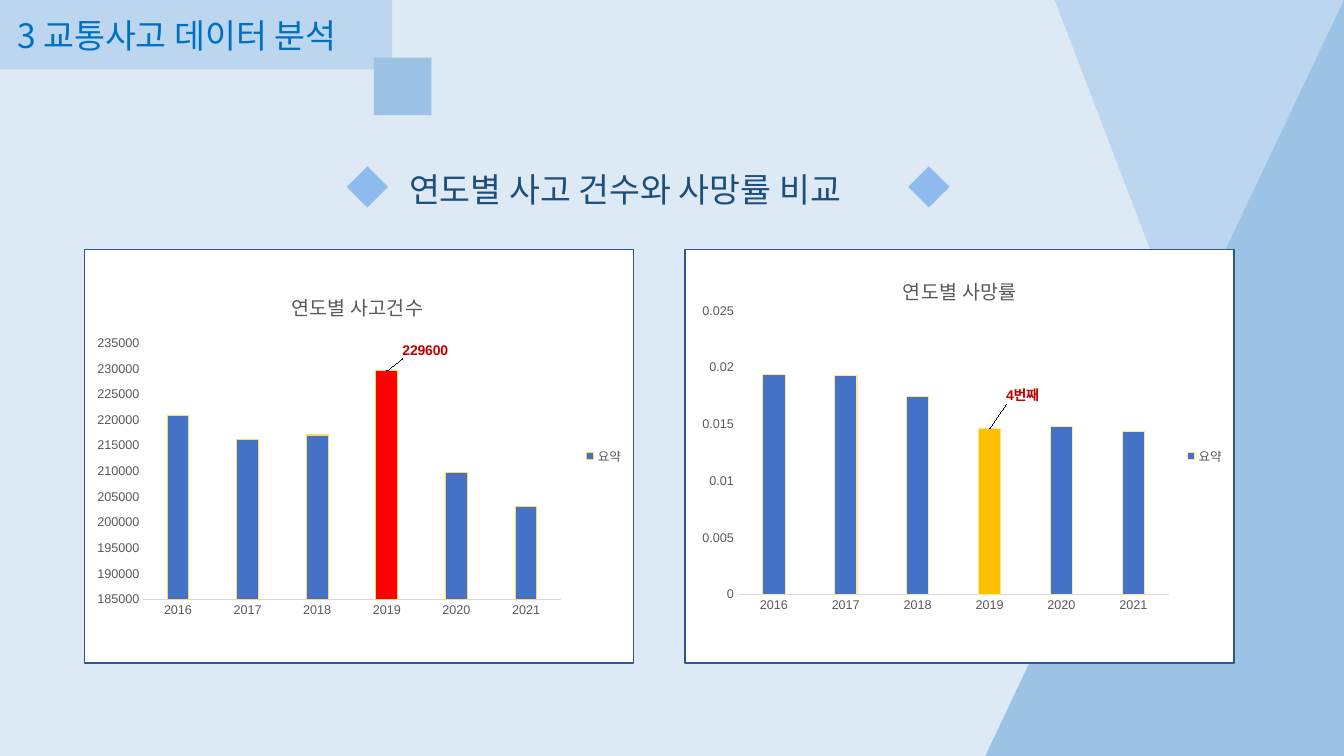
from pptx import Presentation
from pptx.chart.data import CategoryChartData
from pptx.dml.color import RGBColor
from pptx.enum.chart import XL_CHART_TYPE, XL_LABEL_POSITION, XL_LEGEND_POSITION, XL_TICK_MARK
from pptx.enum.shapes import MSO_SHAPE
from pptx.enum.text import MSO_ANCHOR, MSO_AUTO_SIZE, PP_ALIGN
from pptx.oxml import parse_xml
from pptx.util import Cm, Pt

COLUMNS = XL_CHART_TYPE.COLUMN_CLUSTERED
ABOVE_BAR = XL_LABEL_POSITION.OUTSIDE_END
RIGHT = XL_LEGEND_POSITION.RIGHT
NO_TICK = XL_TICK_MARK.NONE
TRIANGLE, DIAMOND, RECTANGLE = MSO_SHAPE.RIGHT_TRIANGLE, MSO_SHAPE.DIAMOND, MSO_SHAPE.RECTANGLE
CHART_NS = "http://schemas.openxmlformats.org/drawingml/2006/chart"
DRAWING_NS = "http://schemas.openxmlformats.org/drawingml/2006/main"

# Content
HEADING = "3 교통사고 데이터 분석"
SUBHEADING = "연도별 사고 건수와 사망률 비교"
YEARS = ["2016", "2017", "2018", "2019", "2020", "2021"]
SERIES_NAME = "요약"
MARKED_YEAR = YEARS.index("2019")
PANELS = [
    {"title": "연도별 사고건수", "title_at": (0.37, 0.09),
     "values": [220900, 216300, 217100, 229600, 209700, 203100],
     "scale": {"minimum_scale": 185000, "maximum_scale": 235000, "major_unit": 5000},
     "plot": (0.107, 0.227, 0.761, 0.62), "outline": "FFD966",
     "marked": "FF0000", "label": None, "label_shift": (0.07, -0.02)},
    {"title": "연도별 사망률", "title_at": (0.39, 0.05),
     "values": [0.0194, 0.0193, 0.0175, 0.0146, 0.0148, 0.0144],
     "scale": {"minimum_scale": 0, "maximum_scale": 0.025, "major_unit": 0.005},
     "plot": (0.096, 0.149, 0.786, 0.686), "outline": "FFE699",
     "marked": "FFC000", "label": "4번째", "label_shift": (0.06, -0.05)},
]

# Layout, in centimetres
SLIDE_W, SLIDE_H = 33.87, 19.05
BACKDROP = [(7.29, "BBD6EE", True), (9.04, "9CC2E5", False)]
DIAMOND_LEFTS, DIAMOND_TOP, DIAMOND_SIZE = (8.74, 22.89), 4.19, 1.04
PANEL_LEFT, PANEL_TOP, PANEL_W, PANEL_H, PANEL_STEP = 2.11, 6.27, 13.87, 10.45, 15.14


def color(hex_code):
    return RGBColor.from_string(hex_code)


def apply(target, formats):
    for attribute, value in formats.items():
        setattr(target, attribute, value)


def set_font(font, size, hex_code, name="Arial", bold=False):
    apply(font, {"size": Pt(size), "name": name, "bold": bold})
    font.color.rgb = color(hex_code)


def add_plain(slide, preset, left, top, width, height, hex_code):
    shape = slide.shapes.add_shape(preset, Cm(left), Cm(top), Cm(width), Cm(height))
    shape.shadow.inherit = False
    shape.fill.solid()
    shape.fill.fore_color.rgb = color(hex_code)
    shape.line.fill.background()
    return shape


def manual_layout(x, y, width=None, height=None):
    size = "" if width is None else f'<c:w val="{width}"/><c:h val="{height}"/>'
    target = '<c:layoutTarget val="inner"/>' if size else ""
    modes = '<c:xMode val="edge"/><c:yMode val="edge"/>'
    return parse_xml(f'<c:layout xmlns:c="{CHART_NS}"><c:manualLayout>{target}{modes}'
                     f'<c:x val="{x}"/><c:y val="{y}"/>{size}</c:manualLayout></c:layout>')


def label_layout(x, y):
    return parse_xml(f'<c:layout xmlns:c="{CHART_NS}"><c:manualLayout>'
                     f'<c:x val="{x}"/><c:y val="{y}"/></c:manualLayout></c:layout>')


def chart_tag(name):
    return f"{{{CHART_NS}}}{name}"


def drop_layout(parent):
    for layout in parent.findall(chart_tag("layout")):
        parent.remove(layout)


def style_frame(chart, panel):
    root = chart.element
    root.find(chart_tag("chart")).addnext(parse_xml(
        f'<c:spPr xmlns:c="{CHART_NS}" xmlns:a="{DRAWING_NS}">'
        '<a:solidFill><a:srgbClr val="FFFFFF"/></a:solidFill>'
        '<a:ln w="12700"><a:solidFill><a:srgbClr val="325491"/></a:solidFill></a:ln></c:spPr>'))
    plot_area = root.find(".//" + chart_tag("plotArea"))
    drop_layout(plot_area)
    plot_area.insert(0, manual_layout(*panel["plot"]))

    title_frame = chart.chart_title.text_frame
    title_frame.text = panel["title"]
    set_font(title_frame.paragraphs[0].runs[0].font, 14, "595959")
    chart.chart_title.include_in_layout = False
    title = root.find(".//" + chart_tag("title"))
    drop_layout(title)
    title.find(chart_tag("tx")).addnext(manual_layout(*panel["title_at"]))

    chart.has_legend = True
    apply(chart.legend, {"position": RIGHT, "include_in_layout": False})
    set_font(chart.legend.font, 9, "595959")


def style_axes(chart, panel):
    for axis in (chart.category_axis, chart.value_axis):
        apply(axis, {"has_major_gridlines": False, "major_tick_mark": NO_TICK,
                     "minor_tick_mark": NO_TICK})
        set_font(axis.tick_labels.font, 9, "595959")
    apply(chart.value_axis, panel["scale"])
    chart.value_axis.format.line.fill.background()
    base_line = chart.category_axis.format.line
    base_line.width = Pt(0.75)
    base_line.color.rgb = color("D9D9D9")


def style_bars(chart, panel):
    apply(chart.plots[0], {"gap_width": 219, "overlap": -27, "vary_by_categories": False})
    series = chart.plots[0].series[0]
    series.invert_if_negative = False
    marked = series.points[MARKED_YEAR]
    for bars, fill in ((series, "4472C4"), (marked, panel["marked"])):
        bars.format.fill.solid()
        bars.format.fill.fore_color.rgb = color(fill)
        bars.format.line.width = Pt(0.75)
        bars.format.line.color.rgb = color(panel["outline"])

    # Label of the marked year, with its leader line
    label = marked.data_label
    if panel["label"]:
        label.text_frame.text = panel["label"]
        font = label.text_frame.paragraphs[0].runs[0].font
    else:
        font = label.font
    set_font(font, 10, "C00000", bold=True)
    label.position = ABOVE_BAR
    labels = chart.element.find(".//" + chart_tag("dLbls"))
    single = labels.find(chart_tag("dLbl"))
    drop_layout(single)
    single.find(chart_tag("idx")).addnext(label_layout(*panel["label_shift"]))
    for flag, state in (("showVal", "0"), ("showLeaderLines", "1")):
        for element in labels.findall(chart_tag(flag)):
            element.set("val", state)


def add_panel(slide, index, panel):
    data = CategoryChartData(number_format="General")
    data.categories = YEARS
    data.add_series(SERIES_NAME, panel["values"])
    chart = slide.shapes.add_chart(
        COLUMNS, Cm(PANEL_LEFT + index * PANEL_STEP), Cm(PANEL_TOP),
        Cm(PANEL_W), Cm(PANEL_H), data).chart
    set_font(chart.font, 10, "000000")
    style_frame(chart, panel)
    style_axes(chart, panel)
    style_bars(chart, panel)


def main():
    deck = Presentation()
    apply(deck, {"slide_width": Cm(SLIDE_W), "slide_height": Cm(SLIDE_H)})
    slide = deck.slides.add_slide(deck.slide_layouts[5])
    slide.background.fill.solid()
    slide.background.fill.fore_color.rgb = color("DDEAF6")

    # Triangles turned to stand against the right edge
    for width, fill, flipped in BACKDROP:
        triangle = add_plain(slide, TRIANGLE, SLIDE_W - (width + SLIDE_H) / 2,
                             (SLIDE_H - width) / 2, SLIDE_H, width, fill)
        triangle.rotation = 270
        if flipped:
            triangle.element.spPr.find(f"{{{DRAWING_NS}}}xfrm").set("flipH", "1")

    # Heading band and its square
    heading = slide.shapes.title
    apply(heading, {"left": 0, "top": 0, "width": Cm(9.88), "height": Cm(1.75)})
    heading.fill.solid()
    heading.fill.fore_color.rgb = color("BBD6EE")
    heading.text_frame.text = HEADING
    apply(heading.text_frame, {"margin_left": Cm(0.43), "auto_size": MSO_AUTO_SIZE.NONE,
                               "vertical_anchor": MSO_ANCHOR.MIDDLE})
    heading.text_frame.paragraphs[0].alignment = PP_ALIGN.LEFT
    set_font(heading.text_frame.paragraphs[0].runs[0].font, 24, "0070C0", "Noto Sans CJK KR")
    add_plain(slide, RECTANGLE, 9.42, 1.45, 1.45, 1.45, "9CC2E5")

    # Subheading between diamonds
    for left in DIAMOND_LEFTS:
        add_plain(slide, DIAMOND, left, DIAMOND_TOP, DIAMOND_SIZE, DIAMOND_SIZE, "8EBAEE")
    subheading = slide.shapes.add_textbox(Cm(10.06), Cm(4.14), Cm(12.65), Cm(1.27)).text_frame
    apply(subheading, {"text": SUBHEADING, "word_wrap": True})
    set_font(subheading.paragraphs[0].runs[0].font, 24, "1E4E79")

    # Charts
    for index, panel in enumerate(PANELS):
        add_panel(slide, index, panel)

    deck.save("out.pptx")


if __name__ == "__main__":
    main()
